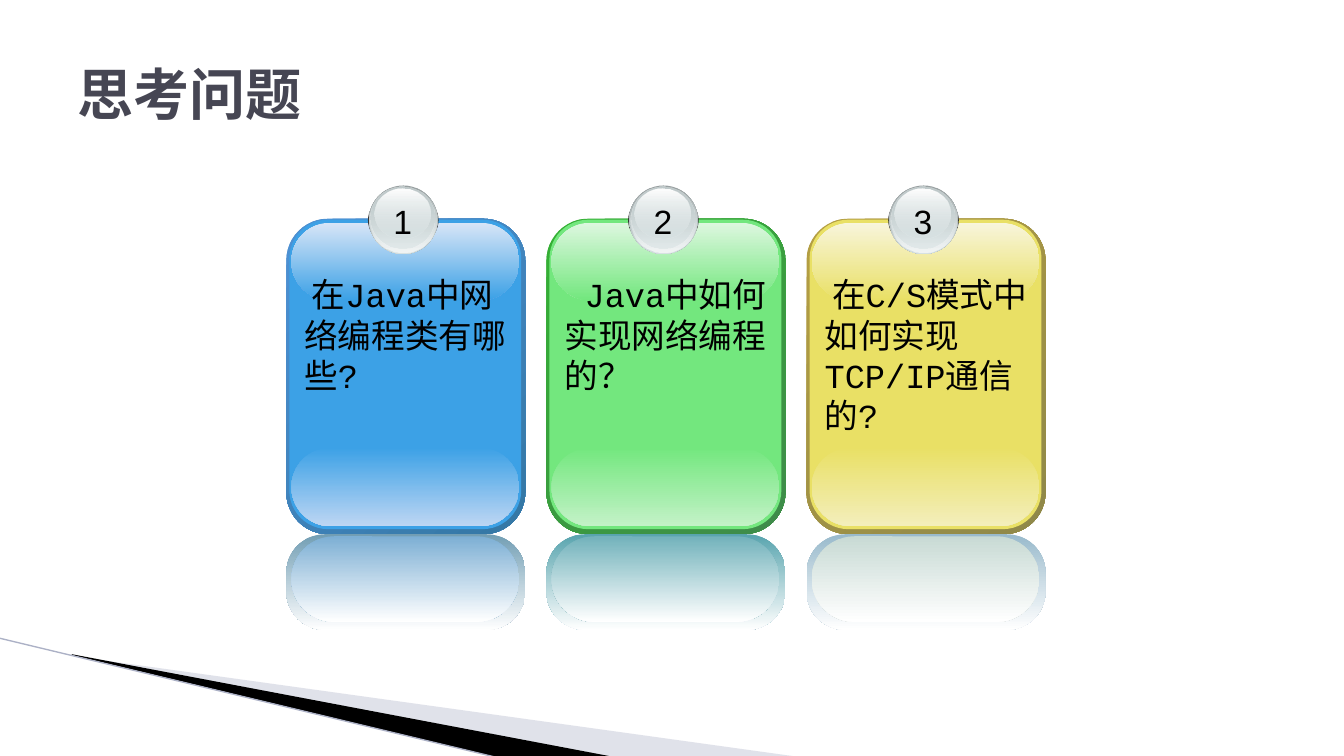
import pptx
import pptx.util
from lxml import etree
from pptx.dml.color import RGBColor
from pptx.enum.shapes import MSO_CONNECTOR, MSO_SHAPE
from pptx.enum.text import MSO_ANCHOR, MSO_AUTO_SIZE, PP_ALIGN
from pptx.oxml.ns import qn
from pptx.util import Inches

WHITE = RGBColor(0xFF, 0xFF, 0xFF)
BLACK = RGBColor(0x00, 0x00, 0x00)
TITLE_GREY = RGBColor(0x46, 0x46, 0x53)
WEDGE_LILAC = RGBColor(0xB3, 0xB7, 0xCB)
LINE_LILAC = RGBColor(0xAC, 0xB1, 0xC6)
BADGE_SHADOW = RGBColor(0x33, 0x33, 0x33)
BADGE_DARK = RGBColor(0x99, 0xA1, 0xA2)
BADGE_MID = RGBColor(0xC1, 0xCB, 0xCC)
BADGE_LIGHT = RGBColor(0xD6, 0xE1, 0xE2)
BADGE_PALE = RGBColor(0xF2, 0xF5, 0xF5)

CARD_LEFT, CARD_PITCH = 2.84, 2.58
DOWN, DIAGONAL = 270, 315

# Each card: text, height of its text, then its colours
CARDS = [
    {"text": " 在Java中网络编程类有哪些?", "height": 1.31,
     "rim": (RGBColor(0x4E, 0x91, 0xD4), RGBColor(0x34, 0x77, 0xA4)),
     "face": RGBColor(0x3C, 0xA1, 0xE6),
     "gloss": RGBColor(0xD7, 0xE5, 0xF7), "glow": RGBColor(0xBD, 0xD6, 0xF3),
     "mirrors": (RGBColor(0x72, 0x9E, 0xB4), RGBColor(0x7D, 0xAF, 0xD4))},
    {"text": " Java中如何实现网络编程的？", "height": 1.31,
     "rim": (RGBColor(0x34, 0xB0, 0x34), RGBColor(0x3F, 0x8B, 0x4A)),
     "face": RGBColor(0x73, 0xE7, 0x7E),
     "gloss": RGBColor(0xDD, 0xF7, 0xDF), "glow": RGBColor(0xC3, 0xF2, 0xC7),
     "mirrors": (RGBColor(0x58, 0xA4, 0xAE), RGBColor(0x72, 0xB2, 0xBB))},
    {"text": " 在C/S模式中如何实现TCP/IP通信的?", "height": 1.72,
     "rim": (RGBColor(0xB5, 0x9F, 0x43), RGBColor(0x8F, 0x88, 0x49)),
     "face": RGBColor(0xE9, 0xE0, 0x65),
     "gloss": RGBColor(0xF8, 0xF5, 0xDB), "glow": RGBColor(0xF3, 0xEE, 0xBB),
     "mirrors": (RGBColor(0x99, 0xBA, 0xCC), RGBColor(0xC8, 0xDA, 0xD4))},
]

# Badge layers: offset from the card, top, width, height, colours, opacities
BADGE_LAYERS = [
    (0.81, 1.9, 0.7, 0.57, (BADGE_SHADOW,), (100,)),
    (0.82, 1.84, 0.68, 0.68, (BADGE_DARK, BADGE_LIGHT), (100, 100)),
    (0.83, 1.85, 0.66, 0.66, (BADGE_LIGHT, BADGE_PALE), (0, 100)),
    (0.84, 1.85, 0.63, 0.62, (BADGE_MID, BADGE_LIGHT), (100, 48)),
    (0.87, 1.87, 0.56, 0.5, (WHITE, BADGE_LIGHT), (100, 38)),
]


class SlideBuilder:
    """Holds the text style and the slide, and adds elements to it."""

    title_font, body_font, number_font = "Calibri", "Courier New", "Arial"
    title_size, body_size = 40, 24

    def __init__(self, page):
        self.page = page
        self.shapes = page.shapes

    def start_group(self):
        self.shapes = self.page.shapes.add_group_shape().shapes

    def style_font(self, font, name, size, colour, bold=False):
        font.name, font.size, font.bold = name, pptx.util.Pt(size), bold
        font.color.rgb = colour

    def paint(self, shape, colours, opacities=(100, 100), angle=DOWN):
        shape.shadow.inherit = False
        shape.line.fill.background()
        if len(colours) == 1:
            shape.fill.solid()
            shape.fill.fore_color.rgb = colours[0]
        else:
            shape.fill.gradient()
            shape.fill.gradient_angle = angle
            for stop, colour in zip(shape.fill.gradient_stops, colours):
                stop.color.rgb = colour
        tags = shape._element.spPr.iter(qn("a:srgbClr"))
        for tag, opacity in zip(list(tags), opacities):
            if opacity < 100:
                alpha = etree.SubElement(tag, qn("a:alpha"))
                alpha.set("val", str(opacity * 1000))

    def title(self, text, left, top, width, height):
        box = self.page.shapes.title
        box.left, box.top = Inches(left), Inches(top)
        box.width, box.height = Inches(width), Inches(height)
        box.text_frame.text = text
        box.text_frame.vertical_anchor = MSO_ANCHOR.MIDDLE
        para = box.text_frame.paragraphs[0]
        para.alignment = PP_ALIGN.LEFT
        self.style_font(para.font, self.title_font, self.title_size,
                        TITLE_GREY, bold=True)

    def wedge(self, points, colour, opacity=100):
        corners = [(Inches(x), Inches(y)) for x, y in points]
        builder = self.shapes.build_freeform(*corners[0])
        builder.add_line_segments(corners[1:], close=True)
        self.paint(builder.convert_to_shape(), (colour,), (opacity,))

    def line(self, start, end, colour, width):
        ends = [Inches(value) for value in (*start, *end)]
        connector = self.shapes.add_connector(MSO_CONNECTOR.STRAIGHT, *ends)
        connector.line.color.rgb = colour
        connector.line.width = pptx.util.Pt(width)
        etree.SubElement(connector._element.spPr, qn("a:effectLst"))

    def panel(self, left, top, width, height, corner, colours, angle=DOWN):
        shape = self.shapes.add_shape(
            MSO_SHAPE.ROUNDED_RECTANGLE, Inches(left), Inches(top),
            Inches(width), Inches(height))
        shape.adjustments[0] = corner
        self.paint(shape, colours, angle=angle)

    def disc(self, left, top, width, height, colours, opacities):
        shape = self.shapes.add_shape(
            MSO_SHAPE.OVAL, Inches(left), Inches(top),
            Inches(width), Inches(height))
        self.paint(shape, colours, opacities)

    def text(self, text, left, top, width, height, font, align, wrap=True):
        box = self.shapes.add_textbox(
            Inches(left), Inches(top), Inches(width), Inches(height))
        frame = box.text_frame
        frame.word_wrap = wrap
        frame.auto_size = MSO_AUTO_SIZE.SHAPE_TO_FIT_TEXT
        frame.text = text
        para = frame.paragraphs[0]
        para.alignment = align
        self.style_font(para.font, font, self.body_size, BLACK)

    def card(self, number, left, card):
        self.start_group()
        # Body with its lower and upper shine
        face = card["face"]
        self.panel(left, 2.17, 2.37, 3.13, 0.175, card["rim"], DIAGONAL)
        self.panel(left + 0.03, 2.18, 2.3, 3.07, 0.167, (face,))
        self.panel(left + 0.05, 4.44, 2.26, 0.78, 0.5, (face, card["glow"]))
        self.panel(left + 0.05, 2.21, 2.26, 0.77, 0.5, (card["gloss"], face))
        # Reflection below
        outer, inner = card["mirrors"]
        self.panel(left, 5.3, 2.37, 0.95, 0.404, (outer, WHITE))
        self.panel(left + 0.05, 5.32, 2.26, 0.85, 0.5, (inner, WHITE))
        # Numbered badge
        for offset, top, width, height, colours, opacities in BADGE_LAYERS:
            self.disc(left + offset, top, width, height, colours, opacities)
        self.text(str(number), left + 0.96, 1.94, 0.39, 0.5,
                  self.number_font, PP_ALIGN.CENTER, wrap=False)
        # Question
        self.text(card["text"], left + 0.08, 2.67, 2.25, card["height"],
                  self.body_font, PP_ALIGN.LEFT)


def main():
    deck = pptx.Presentation()
    deck.slide_width, deck.slide_height = Inches(13.33), Inches(7.5)
    builder = SlideBuilder(deck.slides.add_slide(deck.slide_layouts[5]))

    # Corner decoration
    builder.wedge([(0.73, 6.51), (7.93, 7.51), (6.08, 7.51), (0.73, 6.5)],
                  WEDGE_LILAC, opacity=40)
    builder.wedge([(0.71, 6.49), (6.09, 7.51), (4.96, 7.52), (0.72, 6.5)],
                  BLACK)
    builder.line((-0.01, 6.33), (4.95, 7.52), LINE_LILAC, 0.95)

    # Title and question cards
    builder.title("思考问题", 0.67, 0.3, 12, 1.25)
    for index, card in enumerate(CARDS):
        builder.card(index + 1, CARD_LEFT + index * CARD_PITCH, card)

    deck.save("out.pptx")


if __name__ == "__main__":
    main()
